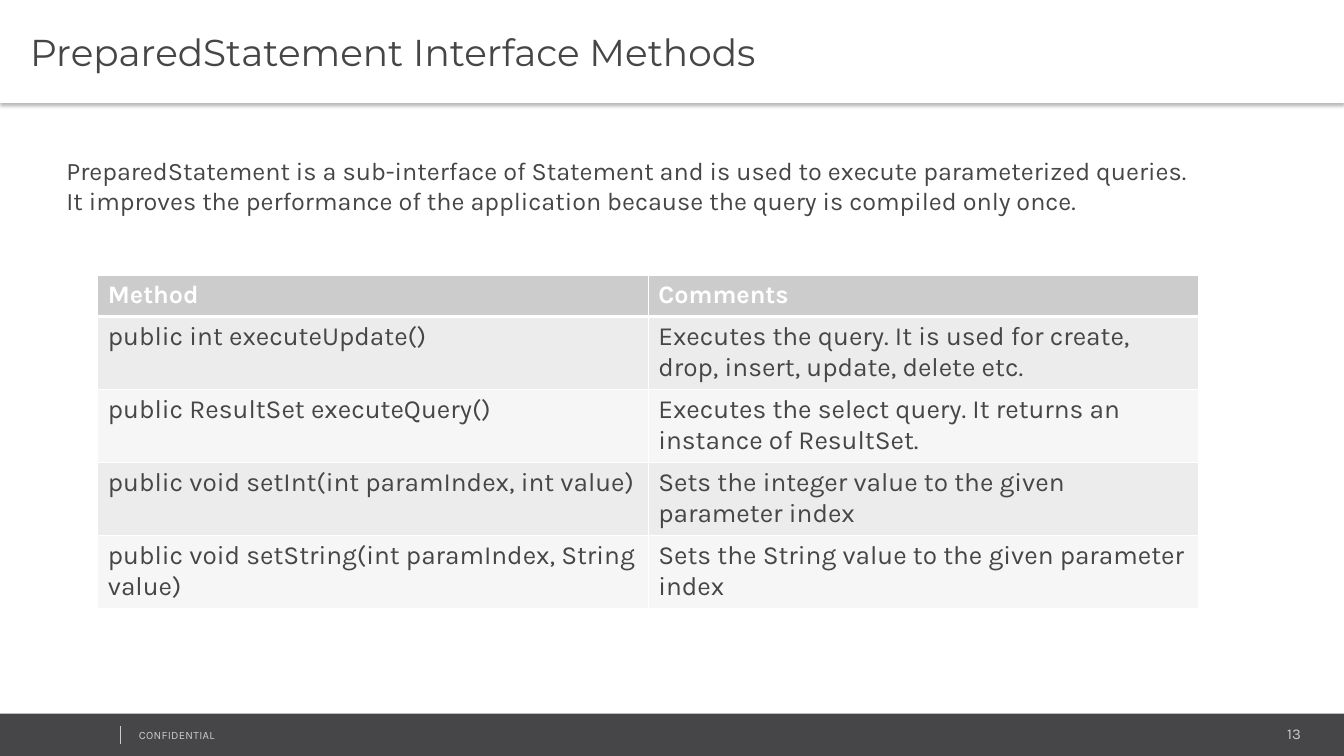
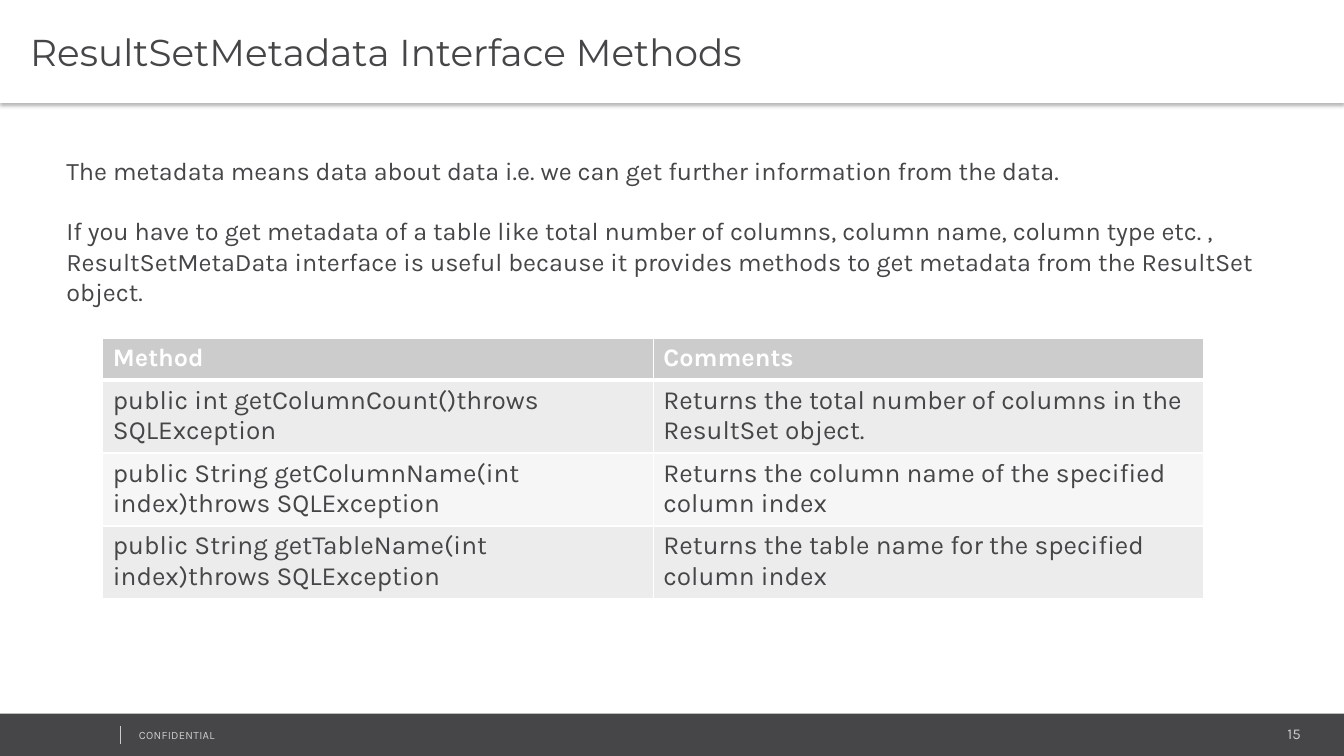
from lxml import etree
from pptx import Presentation
from pptx.dml.color import RGBColor as Rgb
from pptx.enum.shapes import MSO_CONNECTOR as Conn, MSO_SHAPE as Kind
from pptx.enum.text import MSO_ANCHOR as Anchor, PP_ALIGN as Align
from pptx.oxml import parse_xml
from pptx.util import Inches, Pt

HUES = {"dark": "464547", "grey": "CCCCCC", "white": "FFFFFF",
        "odd": "ECECEC", "even": "F6F6F6", "black": "000000"}
INK = {key: Rgb.from_string(hue) for key, hue in HUES.items()}
NS = "http://schemas.openxmlformats.org/drawingml/2006/main"

# Text styles: font, size, colour, bold
STYLES = {
    "title": ("Montserrat", 26.7, "dark", False),
    "body": ("Karla", 18, "dark", False),
    "head": ("Karla", 18, "white", True),
    "cell": ("Karla", 18.7, "dark", False),
    "page": ("Karla", 10.7, "grey", False),
    "foot": ("Karla", 8, "grey", False),
}

SLIDES = [
    {
        "title": "PreparedStatement Interface Methods",
        "page": "13",
        "body": [
            "PreparedStatement is a sub-interface of Statement and is used to execute parameterized queries.",
            "It improves the performance of the application because the query is compiled only once.",
        ],
        "gap": 0, "high": 0.71, "spot": (0.97, 2.73),
        "rows": [
            ("public int executeUpdate()",
             "Executes the query. It is used for create, drop, insert, update, delete etc."),
            ("public ResultSet executeQuery()",
             "Executes the select query. It returns an instance of ResultSet."),
            ("public void setInt(int paramIndex, int value)",
             "Sets the integer value to the given parameter index"),
            ("public void setString(int paramIndex, String value)",
             "Sets the String value to the given parameter index"),
        ],
    },
    {
        "title": "ResultSetMetadata Interface Methods",
        "page": "15",
        "body": [
            "The metadata means data about data i.e. we can get further information from the data.",
            "If you have to get metadata of a table like total number of columns, column name, "
            "column type etc. , ResultSetMetaData interface is useful because it provides methods "
            "to get metadata from the ResultSet object.",
        ],
        "gap": 21.6, "high": 1.62, "spot": (1.02, 3.36),
        "rows": [
            ("public int getColumnCount()throws SQLException",
             "Returns the total number of columns in the ResultSet object."),
            ("public String getColumnName(int index)throws SQLException",
             "Returns the column name of the specified column index"),
            ("public String getTableName(int index)throws SQLException",
             "Returns the table name for the specified column index"),
        ],
    },
]


def write(frame, lines, style, align=Align.LEFT, gap=0):
    """Fill a text frame with one paragraph per line."""
    name, size, ink, bold = STYLES[style]
    frame.word_wrap = True
    for i, line in enumerate(lines):
        para = frame.add_paragraph() if i else frame.paragraphs[0]
        para.alignment = align
        para.space_before = Pt(gap if i else 0)
        run = para.add_run()
        run.text = line
        for key, value in {"name": name, "size": Pt(size), "bold": bold}.items():
            setattr(run.font, key, value)
        run.font.color.rgb = INK[ink]


def band(slide, box, ink):
    """Add a plain full-width rectangle."""
    shape = slide.shapes.add_shape(Kind.RECTANGLE, *map(Inches, box))
    shape.shadow.inherit = False
    shape.fill.solid()
    shape.fill.fore_color.rgb = INK[ink]
    shape.line.fill.background()
    return shape


deck = Presentation()
deck.slide_width, deck.slide_height = Inches(13.33), Inches(7.5)

for data in SLIDES:
    slide = deck.slides.add_slide(deck.slide_layouts[6])
    shapes = slide.shapes

    # Footer band, page number, label and divider
    band(slide, (0, 7.08, 13.33, 0.42), "dark")
    page = shapes.add_textbox(*map(Inches, (10.82, 7.14, 2.18, 0.28)))
    write(page.text_frame, [data["page"]], "page", Align.RIGHT)
    label = shapes.add_textbox(*map(Inches, (1.28, 7.18, 3.38, 0.24)))
    write(label.text_frame, ["CONFIDENTIAL"], "foot")
    label.text_frame.paragraphs[0].runs[0].font._element.set("spc", "20")
    rule = shapes.add_connector(Conn.STRAIGHT, *map(Inches, (1.19, 7.2, 1.19, 7.38)))
    rule.line.color.rgb = INK["grey"]
    rule.line.width = Pt(0.25)
    etree.SubElement(rule._element.spPr, f"{{{NS}}}effectLst")

    # Title band with a soft shadow below
    top = band(slide, (0, 0, 13.33, 1.02), "white")
    glow = top._element.spPr.find(f"{{{NS}}}effectLst")
    glow.append(parse_xml(
        f'<a:outerShdw xmlns:a="{NS}" blurRad="{Pt(3.1)}" dist="{Pt(2)}" dir="5400000" '
        f'algn="t" rotWithShape="0"><a:srgbClr val="{HUES["black"]}">'
        f'<a:alpha val="30000"/></a:srgbClr></a:outerShdw>'))
    frame = top.text_frame
    pads = {"left": 0.3, "top": 0.04, "right": 0.07, "bottom": 0.04}
    for side, pad in pads.items():
        setattr(frame, f"margin_{side}", Inches(pad))
    frame.vertical_anchor = Anchor.MIDDLE
    write(frame, [data["title"]], "title")

    # Method table
    rows = [("Method", "Comments")] + data["rows"]
    left, upper = data["spot"]
    size = (10.92, 0.41 + 0.7 * len(data["rows"]))
    table = shapes.add_table(len(rows), 2, *map(Inches, (left, upper, *size))).table
    for r, row in enumerate(rows):
        table.rows[r].height = Inches(0.7 if r else 0.41)
        fill = ("even", "odd")[r % 2] if r else "grey"
        for c, text in enumerate(row):
            cell = table.cell(r, c)
            write(cell.text_frame, [text], "cell" if r else "head")
            # Borders come before the fill in the cell properties
            props = cell._tc.get_or_add_tcPr()
            for side in "LRTB":
                thick = 3 if (r, side) in ((0, "B"), (1, "T")) else 1
                props.append(parse_xml(
                    f'<a:ln{side} xmlns:a="{NS}" w="{Pt(thick)}"><a:solidFill>'
                    f'<a:srgbClr val="{HUES["white"]}"/></a:solidFill></a:ln{side}>'))
            cell.fill.solid()
            cell.fill.fore_color.rgb = INK[fill]

    # Introduction
    intro = shapes.add_textbox(*map(Inches, (0.56, 1.49, 12.16, data["high"])))
    write(intro.text_frame, data["body"], "body", gap=data["gap"])

deck.save("out.pptx")
